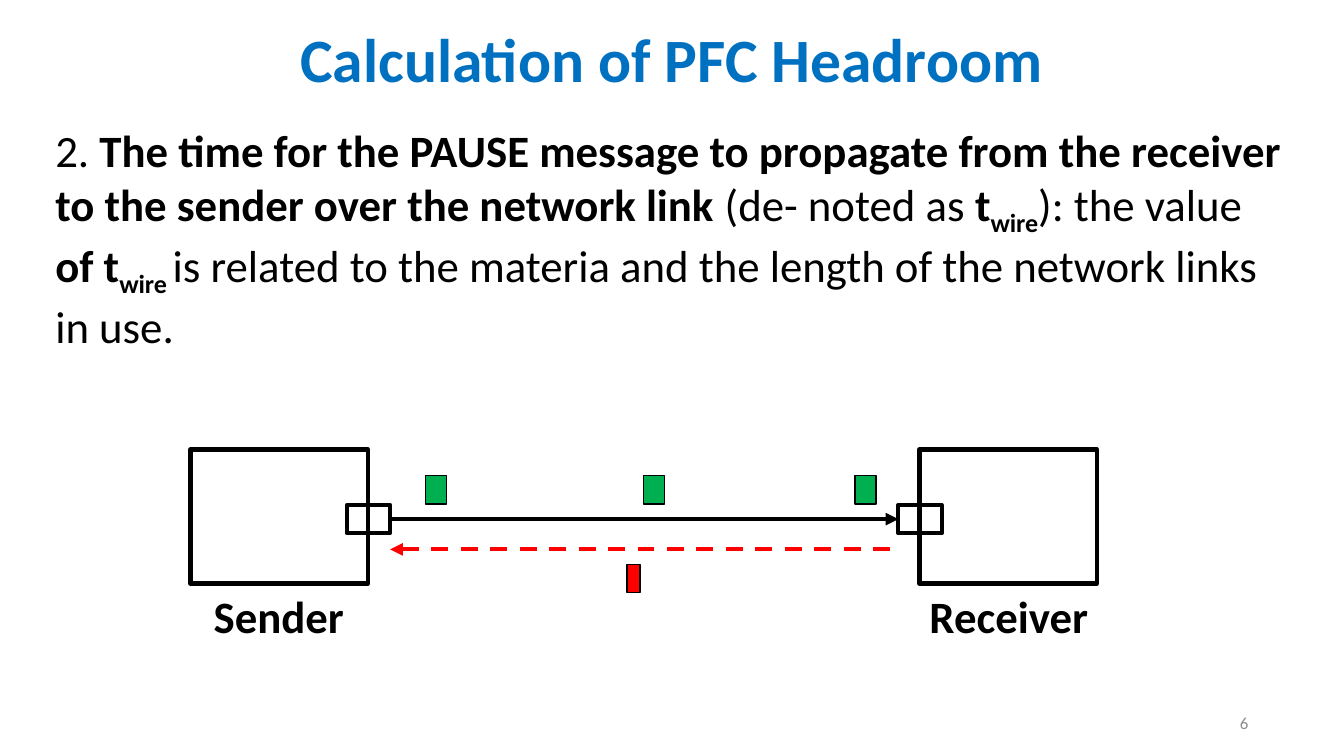
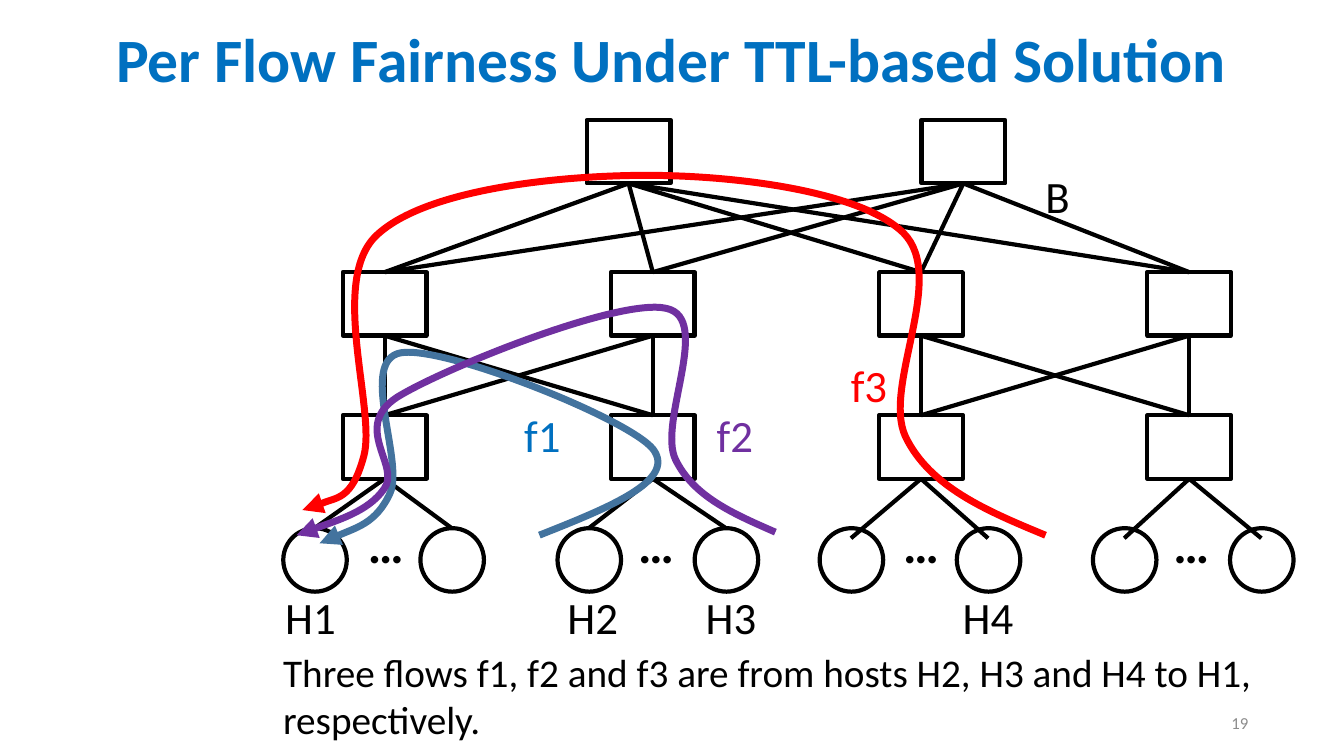
"""Build two slides on PFC headroom and per-flow fairness."""
import lxml.etree
import pptx
import pptx.dml.color
import pptx.enum.dml
import pptx.enum.shapes
import pptx.enum.text
import pptx.oxml.ns
import pptx.util

Inches = pptx.util.Inches
rgb = pptx.dml.color.RGBColor.from_string
qn = pptx.oxml.ns.qn
Align = pptx.enum.text.PP_ALIGN
RECT = pptx.enum.shapes.MSO_SHAPE.RECTANGLE
OVAL = pptx.enum.shapes.MSO_SHAPE.OVAL
LINE = pptx.enum.shapes.MSO_CONNECTOR.STRAIGHT

BLACK, BLUE, RED = "000000", "0070C0", "FF0000"
GREEN, STEEL, PURPLE, GREY = "00B050", "43739E", "7030A0", "8C8C8C"


def write(slide, at, parts, size, hue=BLACK, align=None, wrap=False, mid=False):
    """Add a text box whose parts are (text, bold, baseline) runs."""
    box = slide.shapes.add_textbox(*map(Inches, at))
    frame = box.text_frame
    frame.word_wrap = wrap
    if mid:
        frame.vertical_anchor = pptx.enum.text.MSO_ANCHOR.MIDDLE
    else:
        frame.auto_size = pptx.enum.text.MSO_AUTO_SIZE.SHAPE_TO_FIT_TEXT
    para = frame.paragraphs[0]
    para.alignment = align
    for words, bold, base in parts:
        run = para.add_run()
        run.text = words
        run.font.name = "Calibri"
        run.font.size = pptx.util.Pt(size)
        run.font.bold = bold
        run.font.color.rgb = rgb(hue)
        if base:
            run.font._element.set("baseline", str(base * 1000))
    return para


def ink(item, hue=BLACK, width=3, fill=None, tip=None, dash=False):
    """Style the outline, fill and arrow tip of a shape or connector."""
    item.line.color.rgb = rgb(hue)
    item.line.width = pptx.util.Pt(width)
    if dash:
        item.line.dash_style = pptx.enum.dml.MSO_LINE.DASH
    props = item._element.spPr
    if tip:
        lxml.etree.SubElement(props.find(qn("a:ln")), qn("a:" + tip),
                              type="triangle")
    if not hasattr(item, "fill"):
        lxml.etree.SubElement(props, qn("a:effectLst"))
        return item
    item.shadow.inherit = False
    if fill:
        item.fill.solid()
        item.fill.fore_color.rgb = rgb(fill)
    else:
        item.fill.background()
    return item


deck = pptx.Presentation()
deck.slide_width, deck.slide_height = Inches(13.33), Inches(7.5)

pages = []
for title, number in (
    ("Calculation of PFC Headroom", "6"),
    ("Per Flow Fairness Under TTL-based Solution", "19"),
):
    slide = deck.slides.add_slide(deck.slide_layouts[6])
    write(slide, (9.48, 6.97, 3, 0.4), [(number, False, 0)], 12, GREY,
          Align.RIGHT, True, True)
    head = write(slide, (0.21, 0, 12.91, 1.25), [(title, True, 0)], 44, BLUE,
                 Align.CENTER, True, True)
    head.line_spacing = 0.9
    pages.append(slide)

room, flows = pages

write(room, (0.45, 1.17, 12.44, 2.26), [
    ("2. ", False, 0),
    ("The time for the PAUSE message to propagate from the receiver "
     "to the sender over the network link ", True, 0),
    ("(de- noted as ", False, 0),
    ("t", True, 0),
    ("wire", True, -25),
    ("): the value ", False, 0),
    ("of t", True, 0),
    ("wire ", True, -25),
    ("is related to the materia and the length of the network links in use.",
     False, 0),
], 32, wrap=True)

ports = []
for node, port, name, left, width in (
    (1.89, 3.44, "Sender", 2.02, 1.51),
    (9.12, 8.91, "Receiver", 9.12, 1.79),
):
    for x, y, w, h in ((node, 4.46, 1.76, 1.33), (port, 5.01, 0.43, 0.28)):
        box = ink(room.shapes.add_shape(RECT, *map(Inches, (x, y, w, h))))
    ports.append(box)
    write(room, (left, 5.79, width, 0.64), [(name, True, 0)], 32)

for x, y, width, fill in (
    (4.22, 4.72, 0.21, GREEN),
    (6.38, 4.72, 0.21, GREEN),
    (8.48, 4.72, 0.21, GREEN),
    (6.22, 5.6, 0.13, RED),
):
    packet = room.shapes.add_shape(RECT, *map(Inches, (x, y, width, 0.28)))
    ink(packet, width=1, fill=fill)

data = room.shapes.add_connector(LINE, 0, 0, 0, 0)
data.begin_connect(ports[0], 3)
data.end_connect(ports[1], 1)
ink(data, tip="tailEnd")
pause = room.shapes.add_connector(LINE, *map(Inches, (3.87, 5.45, 8.91, 5.45)))
ink(pause, RED, tip="headEnd", dash=True)

columns = [3.4 + 2.66 * i for i in range(4)]
tiers = []
for top, lefts in ((1.19, (5.82, 9.14)), (2.7, columns), (4.12, columns)):
    tiers.append([
        ink(flows.shapes.add_shape(RECT, *map(Inches, (x, top, 0.83, 0.63))))
        for x in lefts
    ])
cores, mids, edges = tiers

links = [(core, mid) for core in cores for mid in mids]
for pod in (0, 2):
    links += [(mid, edge) for mid in mids[pod:pod + 2]
              for edge in edges[pod:pod + 2]]
for upper, lower in links:
    link = flows.shapes.add_connector(LINE, 0, 0, 0, 0)
    link.begin_connect(upper, 2)
    link.end_connect(lower, 0)
    ink(link)

for edge, left, dots, end in zip(
    edges, (2.81, 5.53, 8.13, 10.84), (3.55, 6.23, 8.86, 11.54),
    (5.24, 5.24, 5.34, 5.34),
):
    for x in (left, left + 1.36):
        ink(flows.shapes.add_shape(OVAL, *map(Inches, (x, 5.24, 0.63, 0.63))))
        link = flows.shapes.add_connector(
            LINE, 0, 0, Inches(x + 0.31), Inches(end))
        link.begin_connect(edge, 2)
        ink(link)
    write(flows, (dots, 5.04, 0.56, 0.71), [("…", True, 0)], 36)

for hue, points in (
    (RED, [(10.37, 5.31), (9.79, 5.07), (9.22, 4.83), (8.98, 4.33),
           (8.75, 3.83), (9.4, 2.75), (8.96, 2.31),
           (8.52, 1.88), (7.21, 1.73), (6.33, 1.74),
           (5.46, 1.75), (4.18, 1.89), (3.72, 2.35),
           (3.27, 2.81), (3.73, 4.07), (3.61, 4.52),
           (3.49, 4.97), (3, 5.06), (3, 5.06)]),
    (STEEL, [(5.35, 5.31), (6.03, 5.04), (6.71, 4.77), (6.48, 4.46),
             (6.25, 4.16), (4.42, 3.43), (3.98, 3.5),
             (3.55, 3.57), (4.01, 4.57), (3.87, 4.89),
             (3.73, 5.2), (3.17, 5.39), (3.17, 5.39)]),
    (PURPLE, [(7.69, 5.28), (7.28, 5.1), (6.88, 4.93), (6.7, 4.56),
              (6.52, 4.19), (7.07, 3.16), (6.61, 3.06),
              (6.15, 2.95), (4.41, 3.65), (3.94, 3.94),
              (3.48, 4.24), (3.98, 4.62), (3.81, 4.85),
              (3.65, 5.08), (2.94, 5.31), (2.94, 5.31)]),
):
    spots = [(Inches(x), Inches(y)) for x, y in points]
    pen = flows.shapes.build_freeform(*spots[0])
    pen.add_line_segments(spots[1:], close=False)
    curve = ink(pen.convert_to_shape(), hue, 5, tip="tailEnd")
    steps = list(curve._element.iter(qn("a:lnTo")))
    for i in range(0, len(steps), 3):
        bend = lxml.etree.Element(qn("a:cubicBezTo"))
        steps[i].addprevious(bend)
        for step in steps[i:i + 3]:
            bend.append(step[0])
            step.getparent().remove(step)

for words, x, y, width, hue in (
    ("H1", 2.73, 5.8, 0.71, BLACK),
    ("H2", 5.53, 5.8, 0.71, BLACK),
    ("H3", 6.9, 5.8, 0.71, BLACK),
    ("H4", 9.45, 5.8, 0.71, BLACK),
    ("B", 10.27, 1.62, 0.45, BLACK),
    ("f1", 5.1, 4, 0.57, BLUE),
    ("f2", 7.01, 4, 0.57, PURPLE),
    ("f3", 8.34, 3.5, 0.57, RED),
):
    write(flows, (x, y, width, 0.64), [(words, False, 0)], 32, hue)
write(flows, (2.71, 6.38, 10.11, 1.04), [
    ("Three flows f1, f2 and f3 are from hosts H2, H3 and H4 to H1, "
     "respectively.", False, 0),
], 28, wrap=True)

deck.save("out.pptx")
